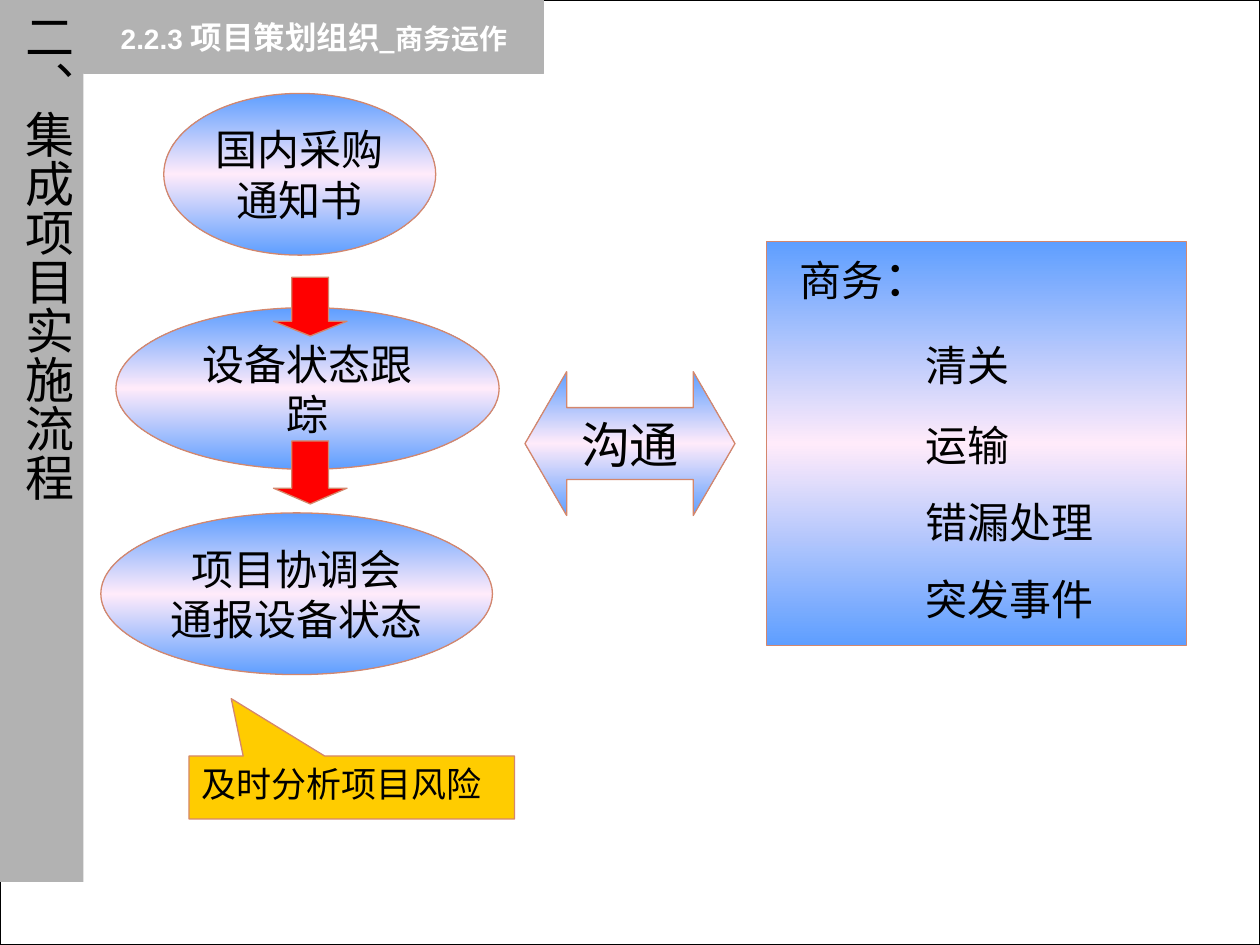
from copy import deepcopy
from dataclasses import dataclass

from pptx import Presentation
from pptx.dml.color import RGBColor
from pptx.enum.shapes import MSO_SHAPE
from pptx.enum.text import MSO_ANCHOR, PP_ALIGN
from pptx.util import Inches, Pt

RECT, OVAL = MSO_SHAPE.RECTANGLE, MSO_SHAPE.OVAL
DOWN, BOTH = MSO_SHAPE.DOWN_ARROW, MSO_SHAPE.LEFT_RIGHT_ARROW
CALL = MSO_SHAPE.RECTANGULAR_CALLOUT
TOP, MID = MSO_ANCHOR.TOP, MSO_ANCHOR.MIDDLE
LEFT, CENTER, JUST = PP_ALIGN.LEFT, PP_ALIGN.CENTER, PP_ALIGN.JUSTIFY
WIDE, HIGH = Inches(10), Inches(7.5)
COLS, ROWS = 120, 90


@dataclass(frozen=True)
class Theme:
    """Colours, fonts and type sizes of the slide."""

    white: str = "FFFFFF"
    black: str = "000000"
    gray: str = "B2B2B2"
    red: str = "FF0000"
    gold: str = "FFCC00"
    edge: str = "D4876C"
    blend: tuple = ("5E9EFF", "FFEBFA", "5E9EFF")
    face: str = "Arial Narrow"
    bold: str = "Arial"
    serif: str = "Times New Roman"
    asian: str = "Noto Sans CJK SC"
    big: int = 28
    body: int = 24
    note: int = 20
    head: int = 18
    small: int = 16


T = Theme()


def place(box, x, y, w, h):
    """Return a grid box offset from the corner of another."""
    return box[0] + x, box[1] + y, w, h


def span(box):
    """Turn a grid box into slide lengths."""
    x, y, w, h = box
    return [round(n) for n in (x * WIDE / COLS, y * HIGH / ROWS,
                               w * WIDE / COLS, h * HIGH / ROWS)]


def blend(fill):
    """Fill with the evenly spaced vertical blend."""
    fill.gradient()
    fill.gradient_angle = 90
    first = fill.gradient_stops[0]
    stem = first._gs
    stem.addnext(deepcopy(stem))
    last = len(T.blend) - 1
    for i, (stop, tint) in enumerate(zip(fill.gradient_stops, T.blend)):
        stop.color.rgb = RGBColor.from_string(tint)
        stop.position = i / last


def draw(slide, kind, box, fill=None, line=T.edge, tune=()):
    """Add a preset shape, blended unless a fill is given."""
    shape = slide.shapes.add_shape(kind, *span(box))
    shape.shadow.inherit = False
    for i, value in enumerate(tune):
        shape.adjustments[i] = value
    if fill:
        shape.fill.solid()
        shape.fill.fore_color.rgb = RGBColor.from_string(fill)
    else:
        blend(shape.fill)
    if line:
        shape.line.color.rgb = RGBColor.from_string(line)
        shape.line.width = Pt(0.75)
    else:
        shape.line.fill.background()
    return shape


def write(shape, *lines, size=T.body, font=T.face, color=T.black, bold=False,
          align=CENTER, anchor=MID, wrap=True, gaps=(), dent=0):
    """Write lines of text; a line may be a list of (text, size, font) runs."""
    frame = shape.text_frame
    frame.word_wrap = wrap
    frame.vertical_anchor = anchor
    for i, line in enumerate(lines):
        para = frame.add_paragraph() if i else frame.paragraphs[0]
        para.alignment = align
        if gaps:
            para.space_before, para.space_after = map(Pt, gaps[i])
        if i and dent:
            para._p.get_or_add_pPr().set("marL", str(dent))
        parts = [(line, size, font)] if isinstance(line, str) else line
        for words, points, face in parts:
            run = para.add_run()
            run.text = words
            run.font.size, run.font.name = Pt(points), face
            run.font.bold = bold
            run.font.color.rgb = RGBColor.from_string(color)
            prop = run.font._element
            asian = deepcopy(prop.find("{*}latin"))
            asian.tag = asian.tag.replace("latin", "ea")
            asian.set("typeface", T.asian)
            prop.find("{*}latin").addnext(asian)


def side(slide, box):
    """Draw the chapter strip with its upright title."""
    strip = draw(slide, RECT, box, T.gray, None)
    write(strip, "二、集成项目实施流程", size=T.big, anchor=TOP,
          gaps=[(17.5, 0)])
    body = strip.text_frame
    body.margin_left = body.margin_right = Inches(0.05)
    body.margin_top = body.margin_bottom = Inches(0.1)
    strip._element.txBody.bodyPr.set("vert", "eaVert")


def head(slide, box):
    """Draw the section heading bar."""
    bar = draw(slide, RECT, box, T.gray, T.gray)
    write(bar, [("2.2.3 ", T.small, T.bold),
                ("项目策划组织", T.head, T.asian),
                ("_商务运作", T.small, T.asian)], color=T.white, bold=True)


def flow(slide, box):
    """Draw the three steps, the arrows between them and the risk note."""
    steps = [(1.44, 20.4, 36.5, True, ["设备状态跟踪"]),
             (6, 0, 25.9, False, ["国内采购", "通知书"]),
             (0, 39.95, 37.3, False, ["项目协调会", "通报设备状态"])]
    for x, y, w, wrap, lines in steps:
        oval = draw(slide, OVAL, place(box, x, y, w, 15.4))
        write(oval, *lines, wrap=wrap)
    for y, h in ((17.5, 5.6), (33.1, 6)):
        draw(slide, DOWN, place(box, 16.45, y, 7, h), T.red, tune=(0.5, 0.25))
    note = draw(slide, CALL, place(box, 8.4, 63.1, 31, 6), T.gold,
                tune=(-0.37, -1.41))
    write(note, "及时分析项目风险", size=T.note, font=T.serif, align=JUST,
          anchor=TOP)


def link(slide, box):
    """Draw the two-way arrow between flow and panel."""
    write(draw(slide, BOTH, box, tune=(0.5, 0.29)), "沟通", size=T.big)


def panel(slide, box):
    """Draw the business panel with its list of duties."""
    draw(slide, RECT, box)
    area = slide.shapes.add_textbox(*span(place(box, 2, 0, 34, 36.8)))
    write(area, [("商务", T.body, T.face), ("：", T.big, T.face)],
          "清关", "运输", "错漏处理", "突发事件", font=T.asian, align=LEFT,
          anchor=TOP, dent=Inches(1),
          gaps=[(17.5, 0), (19, 2), (15, 0), (15, 0), (15, 0)])


def main():
    """Build and save the slide."""
    deck = Presentation()
    deck.slide_width, deck.slide_height = WIDE, HIGH
    slide = deck.slides.add_slide(deck.slide_layouts[6])
    draw(slide, RECT, (0, 0, COLS, ROWS), T.white, T.black)
    flow(slide, (9.6, 8.9, 39.4, 69.1))
    side(slide, (0, 0, 7.95, 84))
    head(slide, (8, 0, 43.8, 7))
    link(slide, (50, 35.4, 20, 13.7))
    panel(slide, (73, 23, 40, 38.5))
    deck.save("out.pptx")


if __name__ == "__main__":
    main()
